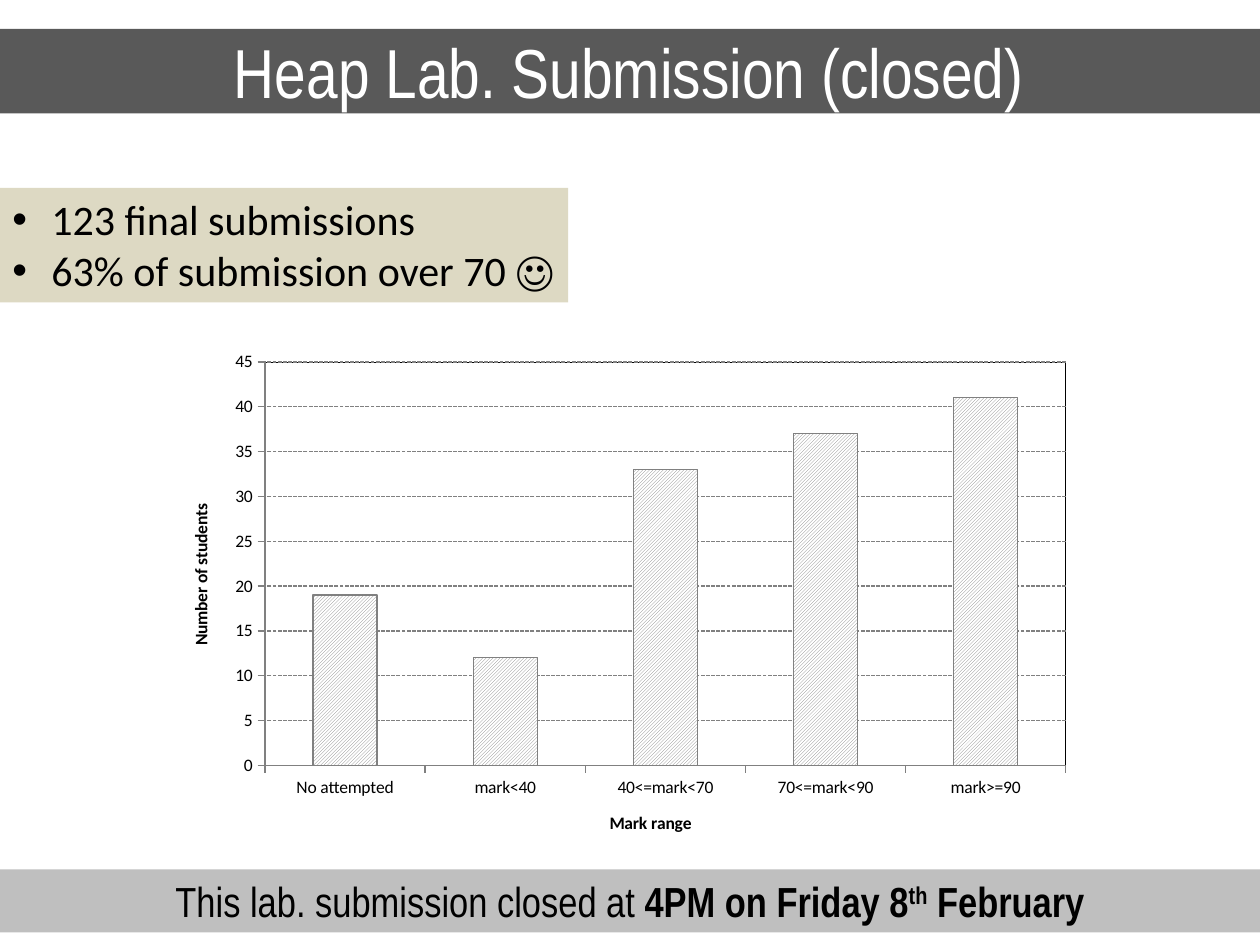
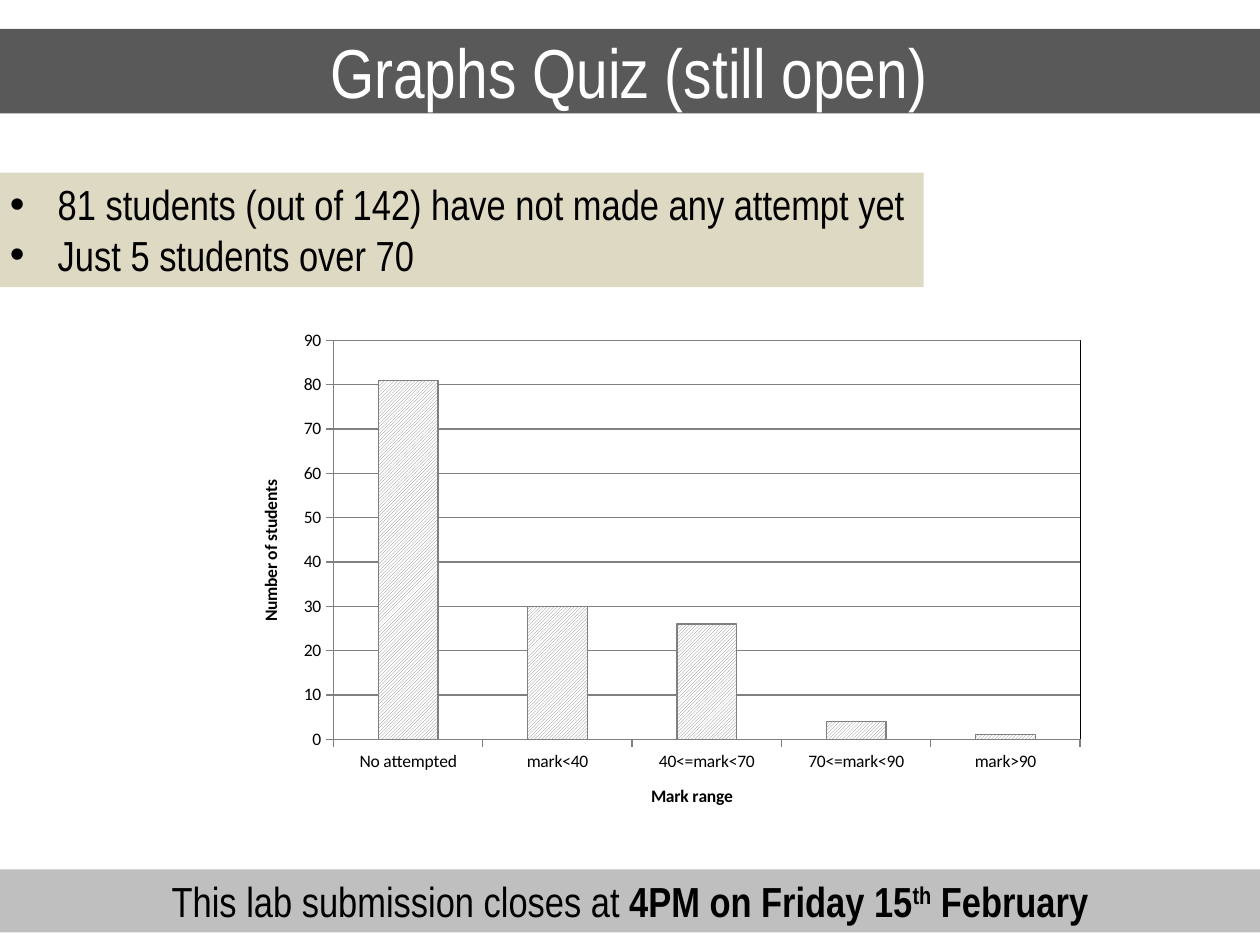
from lxml import etree
from pptx import Presentation
from pptx.chart.data import CategoryChartData
from pptx.dml.color import RGBColor
from pptx.enum.chart import XL_CHART_TYPE, XL_TICK_MARK
from pptx.enum.dml import MSO_LINE, MSO_PATTERN
from pptx.enum.text import MSO_ANCHOR, MSO_AUTO_SIZE, PP_ALIGN
from pptx.oxml import parse_xml
from pptx.oxml.ns import nsdecls, qn
from pptx.util import Inches, Pt

COLORS = {"title": "595959", "note": "DDD9C3", "footer": "BFBFBF",
          "line": "808080", "white": "FFFFFF", "black": "000000"}
C = {name: RGBColor.from_string(value) for name, value in COLORS.items()}
NARROW, BODY = "Arial Narrow", "Calibri"

SLIDES = [
    {"title": "Heap Lab. Submission (closed)",
     "notes": ["123 final submissions", "63% of submission over 70 ☺"],
     "note_at": (0, 1.49, 4.51, 0.91), "note_font": BODY, "indent": 0.31,
     "footer": ["This lab. submission closed at ", "4PM on Friday 8", "th", " February"],
     "chart_at": (1.29, 2.54, 7.39, 4.16), "plot": (0.11, 0.08, 0.86, 0.77),
     "last": "mark>=90", "values": (19, 12, 33, 37, 41),
     "max": 45, "step": 5, "dash": MSO_LINE.SQUARE_DOT},
    {"title": "Graphs Quiz (still open)",
     "notes": ["81 students (out of 142) have not made any attempt yet", "Just 5 students over 70"],
     "note_at": (-0.02, 1.37, 7.35, 0.91), "note_font": NARROW, "indent": 0.38,
     "footer": ["This lab submission closes at ", "4PM on Friday 15", "th", " February"],
     "chart_at": (1.82, 2.54, 6.89, 4.06), "plot": (0.12, 0.04, 0.86, 0.78),
     "last": "mark>90", "values": (81, 30, 26, 4, 1),
     "max": 90, "step": 10, "dash": None},
]


def style(font, name, size, color="black", bold=False):
    font.name, font.size, font.bold = name, Pt(size), bold
    font.color.rgb = C[color]


def add_band(s, at, fill, wrap):
    sp = s.shapes.add_textbox(*map(Inches, at))
    sp.fill.solid()
    sp.fill.fore_color.rgb = C[fill]
    sp.text_frame.word_wrap = wrap
    sp.text_frame.auto_size = MSO_AUTO_SIZE.SHAPE_TO_FIT_TEXT
    return sp.text_frame


prs = Presentation()
prs.slide_width, prs.slide_height = Inches(10), Inches(7.5)

for d in SLIDES:
    s = prs.slides.add_slide(prs.slide_layouts[5])
    sp = s.shapes.title
    sp.left, sp.top, sp.width, sp.height = map(Inches, (-0.02, 0.23, 10.02, 0.67))
    sp.fill.solid()
    sp.fill.fore_color.rgb = C["title"]
    tf = sp.text_frame
    tf.text = d["title"]
    tf.auto_size = MSO_AUTO_SIZE.NONE
    tf.vertical_anchor = MSO_ANCHOR.MIDDLE
    p = tf.paragraphs[0]
    p.alignment = PP_ALIGN.CENTER
    style(p.runs[0].font, NARROW, 39.6, "white")

    tf = add_band(s, d["note_at"], "note", False)
    tf.text = "\n".join(d["notes"])
    for p in tf.paragraphs:
        style(p.runs[0].font, d["note_font"], 24)
        pPr = p._p.get_or_add_pPr()
        pPr.set("marL", str(Inches(d["indent"])))
        pPr.set("indent", str(-Inches(d["indent"])))
        etree.SubElement(pPr, qn("a:buFont")).set("typeface", "Arial")
        etree.SubElement(pPr, qn("a:buChar")).set("char", "•")

    p = add_band(s, (0, 6.9, 10, 0.5), "footer", True).paragraphs[0]
    p.alignment = PP_ALIGN.CENTER
    for i, text in enumerate(d["footer"]):
        r = p.add_run()
        r.text = text
        style(r.font, NARROW, 24, bold=i > 0)
        if text == "th":
            r._r.get_or_add_rPr().set("baseline", "30000")

    data = CategoryChartData()
    data.categories = ["No attempted", "mark<40", "40<=mark<70", "70<=mark<90", d["last"]]
    data.add_series("Series 1", d["values"])
    chart = s.shapes.add_chart(XL_CHART_TYPE.COLUMN_CLUSTERED,
                               *map(Inches, d["chart_at"]), data).chart
    chart.has_legend = chart.has_title = False
    style(chart.font, BODY, 10)

    plot = chart.plots[0]
    plot.gap_width = 150
    plot.vary_by_categories = False
    bars = plot.series[0].format
    bars.fill.patterned()
    bars.fill.pattern = MSO_PATTERN.LIGHT_UPWARD_DIAGONAL
    bars.fill.fore_color.rgb = C["line"]
    bars.fill.back_color.rgb = C["white"]

    val = chart.value_axis
    val.minimum_scale, val.maximum_scale, val.major_unit = 0, d["max"], d["step"]
    val.has_major_gridlines = True
    grid = val.major_gridlines.format.line
    for line in (bars.line, grid, val.format.line, chart.category_axis.format.line):
        line.color.rgb = C["line"]
        line.width = Pt(0.75)
    if d["dash"]:
        grid.dash_style = d["dash"]
    for axis, title in ((chart.category_axis, "Mark range"), (val, "Number of students")):
        axis.major_tick_mark = XL_TICK_MARK.OUTSIDE
        tf = axis.axis_title.text_frame
        tf.text = title
        style(tf.paragraphs[0].runs[0].font, BODY, 10, bold=True)
    tf._txBody.bodyPr.set("rot", "-5400000")
    tf._txBody.bodyPr.set("vert", "horz")

    area = chart._chartSpace.chart.plotArea
    for old in area.findall(qn("c:layout")):
        area.remove(old)
    place = "".join(f'<c:{k} val="{v}"/>' for k, v in zip("xywh", d["plot"]))
    area.insert(0, parse_xml(
        f'<c:layout {nsdecls("c")}><c:manualLayout><c:layoutTarget val="inner"/>'
        f'<c:xMode val="edge"/><c:yMode val="edge"/>{place}</c:manualLayout></c:layout>'))
    area.append(parse_xml(
        f'<c:spPr {nsdecls("c", "a")}><a:noFill/><a:ln w="3175"><a:solidFill>'
        f'<a:srgbClr val="{COLORS["black"]}"/></a:solidFill></a:ln></c:spPr>'))

prs.save("out.pptx")
